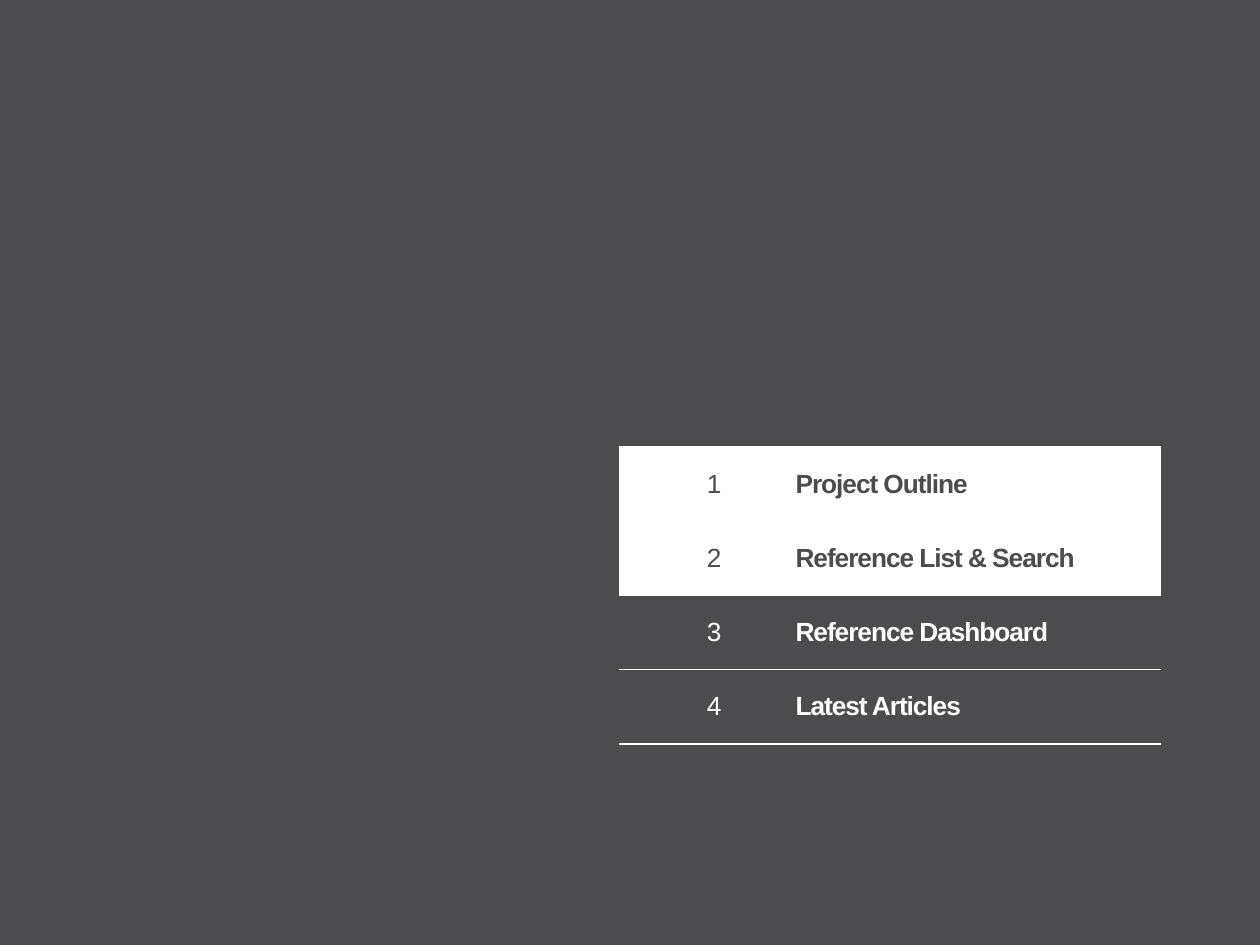
from lxml import etree
from pptx import Presentation
from pptx.dml.color import RGBColor
from pptx.enum.shapes import MSO_SHAPE
from pptx.enum.text import MSO_ANCHOR, PP_ALIGN
from pptx.oxml.ns import qn
from pptx.util import Pt

RECT = MSO_SHAPE.RECTANGLE
MIDDLE = MSO_ANCHOR.MIDDLE
CENTER, LEFT = PP_ALIGN.CENTER, PP_ALIGN.LEFT

COLORS = {"dark": "4C4C4E", "white": "FFFFFF"}
AGENDA = [
    ("Project Outline", "white", "dark"),
    ("Reference List & Search", "white", "dark"),
    ("Reference Dashboard", "dark", "white"),
    ("Latest Articles", None, "white"),
]
SLIDE_W, SLIDE_H = 1260, 945
TABLE_X, TABLE_Y, TABLE_H = 619, 447, 297
COL_WIDTHS = [164, 378]
NUMBER_INSET = 39
LETTER_SPACING = -60


def px(n):
    return round(n * 914400 / 126)


def rgb(name):
    return RGBColor.from_string(COLORS[name])


def set_borders(cell):
    tc_pr = cell._tc.get_or_add_tcPr()
    for side in ("lnL", "lnR"):
        ln = etree.SubElement(tc_pr, qn(f"a:{side}"), w="0")
        etree.SubElement(ln, qn("a:noFill"))
    for side in ("lnT", "lnB"):
        ln = etree.SubElement(tc_pr, qn(f"a:{side}"), w=str(Pt(1)))
        fill = etree.SubElement(ln, qn("a:solidFill"))
        etree.SubElement(fill, qn("a:srgbClr"), val=COLORS["white"])


def write_cell(cell, text, fill, color, align, bold):
    set_borders(cell)
    if fill:
        cell.fill.solid()
        cell.fill.fore_color.rgb = rgb(fill)
    else:
        cell.fill.background()
    cell.vertical_anchor = MIDDLE
    p = cell.text_frame.paragraphs[0]
    p.text = text
    p.alignment = align
    r = p.runs[0]
    r.font.name = "Arial"
    r.font.size = Pt(15)
    r.font.bold = bold
    r.font.color.rgb = rgb(color)
    if bold:
        r.font._element.set("spc", str(LETTER_SPACING))


prs = Presentation()
prs.slide_width, prs.slide_height = px(SLIDE_W), px(SLIDE_H)
s = prs.slides.add_slide(prs.slide_layouts[6])

backdrop = s.shapes.add_shape(RECT, 0, 0, px(SLIDE_W), px(SLIDE_H))
backdrop.shadow.inherit = False
backdrop.fill.solid()
backdrop.fill.fore_color.rgb = rgb("dark")
backdrop.line.fill.background()

table = s.shapes.add_table(
    len(AGENDA), len(COL_WIDTHS), px(TABLE_X), px(TABLE_Y),
    px(sum(COL_WIDTHS)), px(TABLE_H)).table
table.first_row = False
table.horz_banding = False
for col, width in zip(table.columns, COL_WIDTHS):
    col.width = px(width)
for i, (title, fill, color) in enumerate(AGENDA):
    number_cell, title_cell = table.cell(i, 0), table.cell(i, 1)
    number_cell.margin_left = px(NUMBER_INSET)
    write_cell(number_cell, str(i + 1), fill, color, CENTER, False)
    write_cell(title_cell, title, fill, color, LEFT, True)

prs.save("out.pptx")
